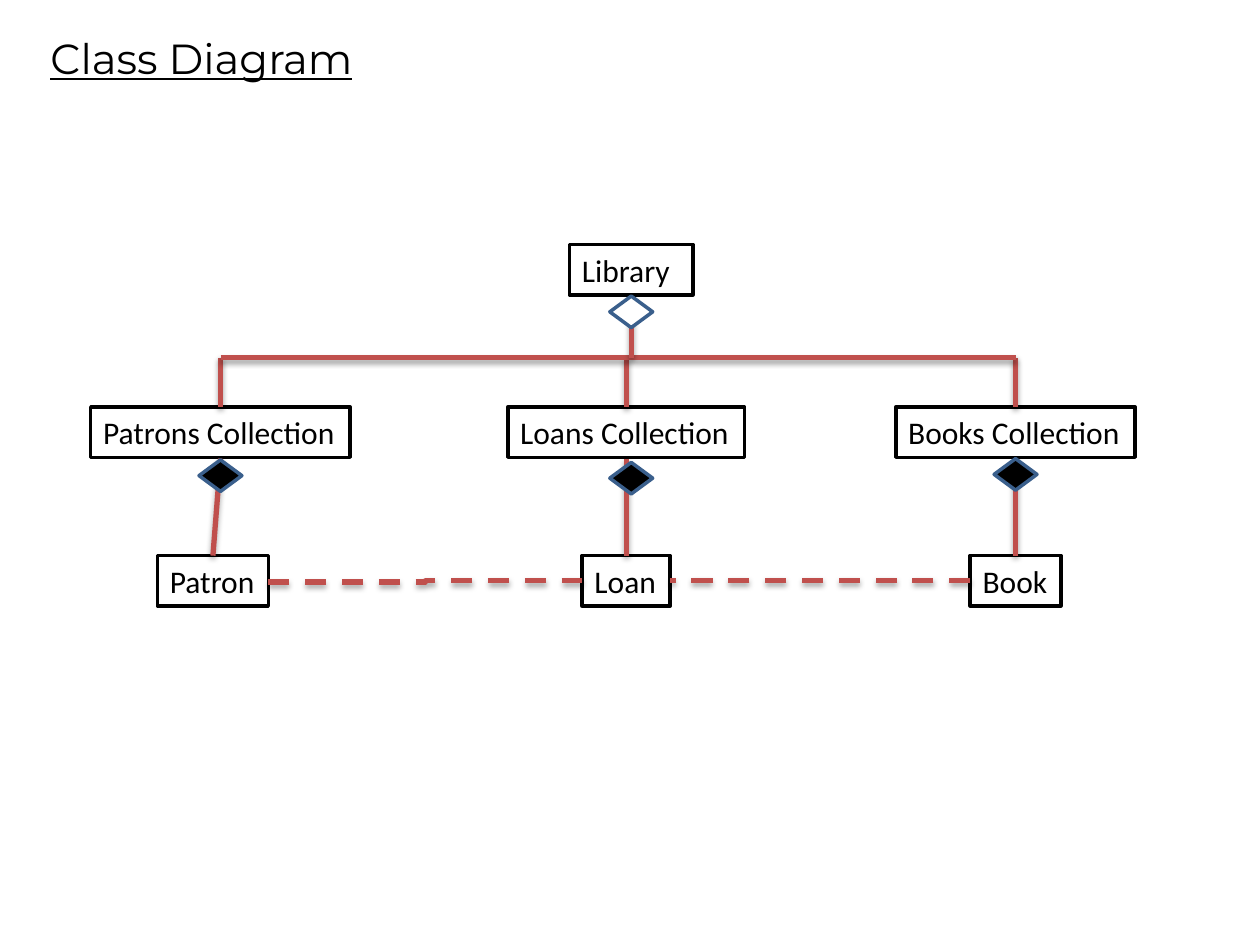
from lxml import etree
from pptx import Presentation
from pptx.dml.color import RGBColor
from pptx.enum.dml import MSO_LINE
from pptx.enum.shapes import MSO_CONNECTOR, MSO_SHAPE
from pptx.enum.text import MSO_ANCHOR, PP_ALIGN
from pptx.oxml.ns import qn
from pptx.util import Inches, Pt

RECTANGLE, DIAMOND = MSO_SHAPE.RECTANGLE, MSO_SHAPE.DIAMOND
STRAIGHT, ELBOW = MSO_CONNECTOR.STRAIGHT, MSO_CONNECTOR.ELBOW
DASH = MSO_LINE.DASH
LEFT, MIDDLE = PP_ALIGN.LEFT, MSO_ANCHOR.MIDDLE
BLACK, WHITE, RED, BLUE = "000000", "FFFFFF", "C0504D", "3A5F8C"

BOX_HEIGHT = 0.4
COLLECTION_TOP, ITEM_TOP, TRUNK_Y = 3.23, 4.41, 2.84
COLLECTION_BOTTOM = 3.64
PATRON_X, LOAN_X, BOOK_X, LIBRARY_X = 1.75, 4.97, 8.06, 5.01


def color(value):
    """Turn a hex string into a colour."""
    return RGBColor.from_string(value)


def write(holder, text, font="Calibri", size=18, underline=None, wrap=False):
    """Write one left-aligned line of black text."""
    frame = holder.text_frame
    frame.text = text
    frame.word_wrap = wrap
    frame.vertical_anchor = MIDDLE
    frame.margin_left = frame.margin_right = Inches(0.1)
    frame.margin_top = frame.margin_bottom = Inches(0.05)
    paragraph = frame.paragraphs[0]
    paragraph.alignment = LEFT
    style = paragraph.runs[0].font
    style.name, style.size, style.underline = font, Pt(size), underline
    style.color.rgb = color(BLACK)


def add_outlined(slide, kind, left, top, width, height, fill, line):
    """Add a filled preset shape with a 2 pt outline."""
    shape = slide.shapes.add_shape(
        kind, Inches(left), Inches(top), Inches(width), Inches(height))
    shape.shadow.inherit = False
    shape.fill.solid()
    shape.fill.fore_color.rgb = color(fill)
    shape.line.color.rgb = color(line)
    shape.line.width = Pt(2)
    return shape


def add_class(slide, name, left, top, width, wrap=False):
    """Add a class box with its name."""
    box = add_outlined(slide, RECTANGLE, left, top, width, BOX_HEIGHT, WHITE, BLACK)
    write(box, name, wrap=wrap)


def add_diamond(slide, center, top, fill):
    """Add an aggregation or composition diamond."""
    add_outlined(slide, DIAMOND, center - 0.17, top, 0.34, 0.25, fill, BLUE)


def add_relation(slide, start, end, kind=STRAIGHT, dash=None):
    """Add a red relation line with a soft shadow below it."""
    relation = slide.shapes.add_connector(kind, *map(Inches, start + end))
    relation.line.color.rgb = color(RED)
    relation.line.width = Pt(3)
    if dash:
        relation.line.dash_style = dash
    effects = etree.SubElement(relation._element.spPr, qn("a:effectLst"))
    shadow = etree.SubElement(
        effects, qn("a:outerShdw"), blurRad=str(Pt(3.1)), dist=str(Pt(1.8)),
        dir="5400000", rotWithShape="0")
    tint = etree.SubElement(shadow, qn("a:srgbClr"), val=BLACK)
    etree.SubElement(tint, qn("a:alpha"), val="35000")


def add_title(slide, text):
    """Place and format the slide title."""
    title = slide.shapes.title
    title.left, title.top = Inches(0.3), Inches(0.21)
    title.width, title.height = Inches(2.87), Inches(0.5)
    write(title, text, font="Montserrat", size=24, underline=True)


def main():
    """Build the class diagram slide."""
    deck = Presentation()
    deck.slide_width, deck.slide_height = Inches(10), Inches(7.5)
    slide = deck.slides.add_slide(deck.slide_layouts[5])
    add_title(slide, "Class Diagram")

    add_class(slide, "Library", 4.52, 1.94, 0.98, wrap=True)
    for name, left, top, width in (
            ("Loans Collection", 4.03, COLLECTION_TOP, 1.88),
            ("Loan", 4.62, ITEM_TOP, 0.7),
            ("Books Collection", 7.11, COLLECTION_TOP, 1.9),
            ("Book", 7.7, ITEM_TOP, 0.72),
            ("Patron", 1.25, ITEM_TOP, 0.88),
            ("Patrons Collection", 0.72, COLLECTION_TOP, 2.06)):
        add_class(slide, name, left, top, width)

    for branch_x in (PATRON_X, BOOK_X, LOAN_X):
        add_relation(slide, (branch_x, COLLECTION_TOP), (branch_x, TRUNK_Y))
    add_relation(slide, (PATRON_X, TRUNK_Y), (BOOK_X, TRUNK_Y))
    add_relation(slide, (LIBRARY_X, 2.35), (LIBRARY_X, TRUNK_Y))
    add_diamond(slide, LIBRARY_X, 2.35, WHITE)

    for item_x, collection_x in ((1.69, PATRON_X), (LOAN_X, LOAN_X), (BOOK_X, BOOK_X)):
        add_relation(slide, (item_x, ITEM_TOP), (collection_x, COLLECTION_BOTTOM))
    add_relation(slide, (7.7, 4.61), (5.32, 4.61), ELBOW, DASH)
    add_relation(slide, (2.13, 4.62), (4.62, 4.61), ELBOW, DASH)

    for center, top in ((BOOK_X, 3.64), (PATRON_X, 3.65), (LIBRARY_X, 3.67)):
        add_diamond(slide, center, top, BLACK)

    deck.save("out.pptx")


if __name__ == "__main__":
    main()
